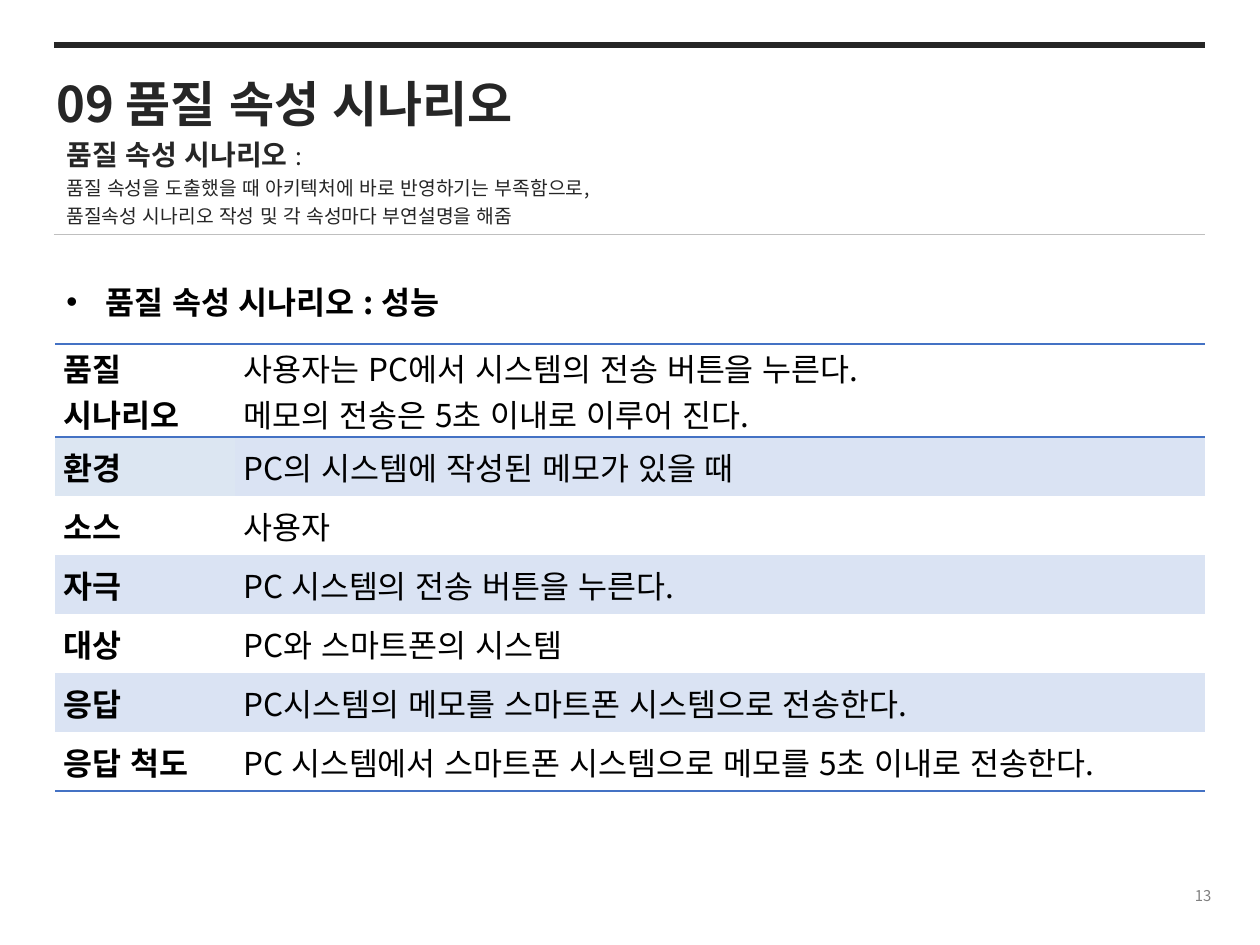
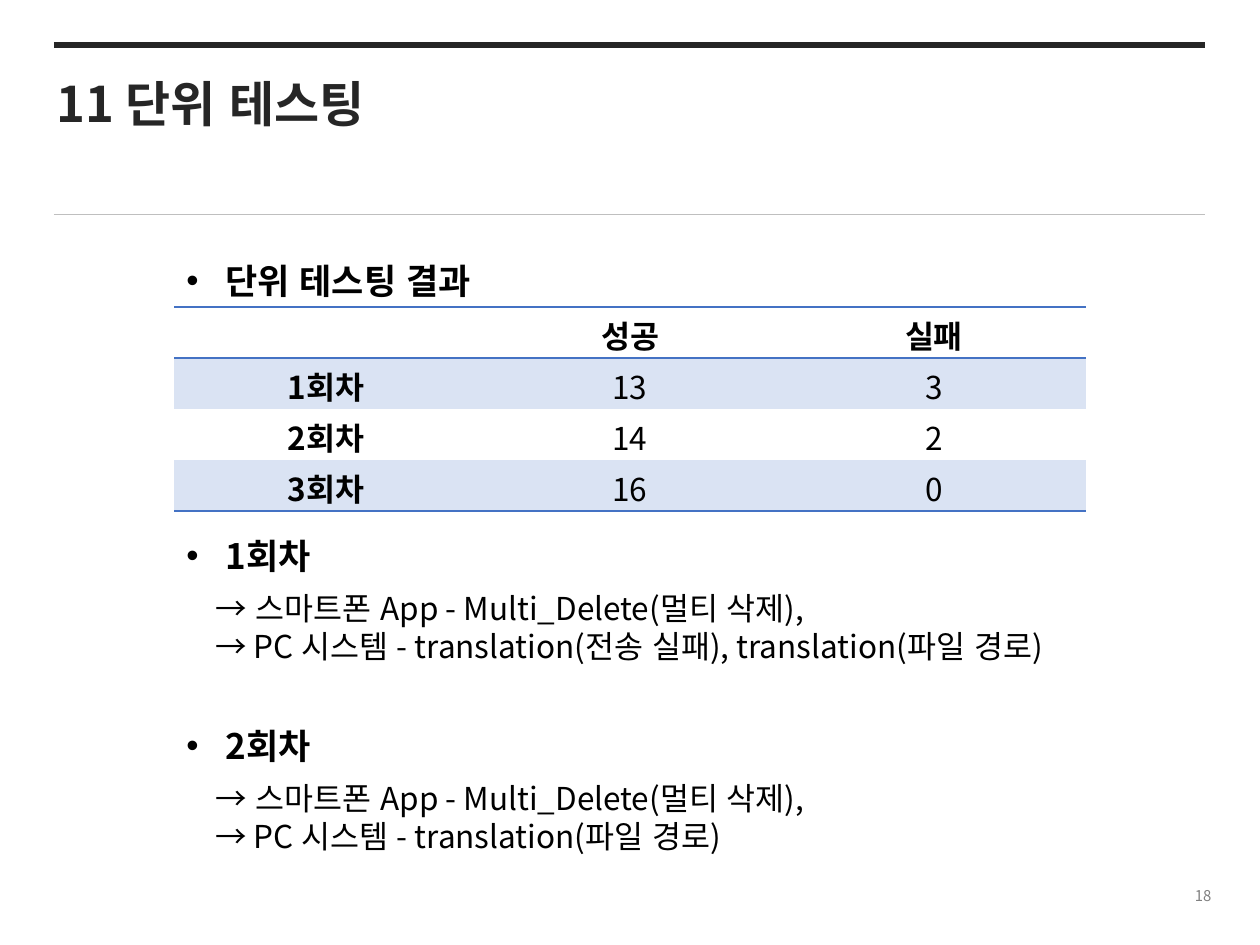
from lxml.etree import SubElement
from pptx import Presentation
from pptx.dml.color import RGBColor
from pptx.enum.lang import MSO_LANGUAGE_ID as LANGUAGE
from pptx.enum.shapes import MSO_CONNECTOR
from pptx.enum.text import MSO_ANCHOR, MSO_AUTO_SIZE as AUTO, PP_ALIGN
from pptx.oxml import parse_xml
from pptx.oxml.ns import nsdecls, qn
from pptx.util import Emu, Pt

FONT = "Noto Sans CJK KR"
BLACK = RGBColor(0x00, 0x00, 0x00)
INK = RGBColor(0x26, 0x26, 0x26)
RULE_GREY = RGBColor(0xBF, 0xBF, 0xBF)
NUMBER_GREY = RGBColor(0x80, 0x80, 0x80)
BLUE = RGBColor(0x44, 0x72, 0xC4)
BAND = RGBColor(0xDA, 0xE3, 0xF3)
PALE_BAND = RGBColor(0xDC, 0xE6, 0xF2)
NO_STYLE = "{2D5ABB26-0587-4C30-8999-92F81FD0307C}"
SCALE = 914400 / 126
LEFT, RIGHT = 54, 1205

SCENARIO = {
    "title": "09 품질 속성 시나리오",
    "number": "13",
    "rule": 234,
    "intro": [
        [("품질 속성 시나리오 ", 16, True), (":", 14, False)],
        [("품질 속성을 도출했을 때 아키텍처에 바로 반영하기는 부족함으로,", 11, False)],
        [("품질속성 시나리오 작성 및 각 속성마다 부연설명을 해줌", 11, False)],
    ],
    "heading": "품질 속성 시나리오 : 성능",
    "rows": [
        ("품질\n시나리오", "사용자는 PC에서 시스템의 전송 버튼을 누른다.\n메모의 전송은 5초 이내로 이루어 진다."),
        ("환경", "PC의 시스템에 작성된 메모가 있을 때"),
        ("소스", "사용자"),
        ("자극", "PC 시스템의 전송 버튼을 누른다."),
        ("대상", "PC와 스마트폰의 시스템"),
        ("응답", "PC시스템의 메모를 스마트폰 시스템으로 전송한다."),
        ("응답 척도", "PC 시스템에서 스마트폰 시스템으로 메모를 5초 이내로 전송한다."),
    ],
}
TESTING = {
    "title": "11 단위 테스팅",
    "number": "18",
    "rule": 214,
    "heading": "단위 테스팅 결과",
    "rows": [
        ("", "성공", "실패"),
        ("1회차", "13", "3"),
        ("2회차", "14", "2"),
        ("3회차", "16", "0"),
    ],
    "rounds": [
        (528, "1회차", ["→ 스마트폰 App - Multi_Delete(멀티 삭제),",
                      "→ PC 시스템 - translation(전송 실패), translation(파일 경로)"]),
        (718, "2회차", ["→ 스마트폰 App - Multi_Delete(멀티 삭제),",
                      "→ PC 시스템 - translation(파일 경로)"]),
    ],
}


def px(length):
    return Emu(round(length * SCALE))


def assign(target, values):
    for name, value in values.items():
        setattr(target, name, value)


def add_run(paragraph, text, size, bold, color):
    run = paragraph.add_run()
    run.text = text
    assign(run.font, {"name": FONT, "size": Pt(size), "bold": bold,
                      "language_id": LANGUAGE.KOREAN})
    run.font.color.rgb = color
    SubElement(run.font._element, qn("a:ea"), typeface=FONT)


def write(frame, paragraphs, color=BLACK, **layout):
    for index, runs in enumerate(paragraphs):
        paragraph = frame.add_paragraph() if index else frame.paragraphs[0]
        assign(paragraph, layout)
        for text, size, bold in runs:
            add_run(paragraph, text, size, bold, color)


def add_text(slide, box, paragraphs, color=BLACK, anchor=MSO_ANCHOR.TOP, **layout):
    frame = slide.shapes.add_textbox(*map(px, box)).text_frame
    assign(frame, {"word_wrap": True, "auto_size": AUTO.NONE, "vertical_anchor": anchor})
    write(frame, paragraphs, color, **layout)
    return frame


def add_bullet(slide, box, text, size):
    frame = add_text(slide, box, [[(text, size, True)]])
    properties = frame.paragraphs[0]._p.get_or_add_pPr()
    properties.set("marL", str(px(39)))
    properties.set("indent", str(-px(39)))
    SubElement(properties, qn("a:buFont"), typeface="Arial")
    SubElement(properties, qn("a:buChar"), char="•")


def add_rule(slide, top, color, width):
    rule = slide.shapes.add_connector(
        MSO_CONNECTOR.STRAIGHT, px(LEFT), px(top), px(RIGHT), px(top))
    rule.line.color.rgb = color
    rule.line.width = Pt(width)
    SubElement(rule._element.spPr, qn("a:effectLst"))


def add_border(cell, side):
    cell._tc.get_or_add_tcPr().insert(0, parse_xml(
        f'<a:{side} {nsdecls("a")} w="{Pt(1)}"><a:solidFill>'
        f'<a:srgbClr val="{BLUE}"/></a:solidFill></a:{side}>'))


def add_banded_table(slide, left, top, widths, heights, rows, cell_format, **layout):
    table = slide.shapes.add_table(
        len(rows), len(widths), px(left), px(top), px(sum(widths)), px(sum(heights))).table
    assign(table, {"first_row": False, "horz_banding": False})
    table._tbl.tblPr.find(qn("a:tableStyleId")).text = NO_STYLE
    for column, width in zip(table.columns, widths):
        column.width = px(width)
    for r, (row, height) in enumerate(zip(rows, heights)):
        table.rows[r].height = px(height)
        for c, text in enumerate(row):
            cell = table.cell(r, c)
            assign(cell, cell_format)
            bold = r == 0 and len(widths) > 2 or c == 0
            lines = [[(line, 18, bold)] for line in text.split("\n") if line]
            write(cell.text_frame, lines, **layout)
            if r % 2:
                cell.fill.solid()
                cell.fill.fore_color.rgb = BAND
            else:
                cell.fill.background()
            if r in (0, len(rows) - 1):
                add_border(cell, "lnB")
            if r == 0:
                add_border(cell, "lnT")
    return table


def add_page(deck, content):
    slide = deck.slides.add_slide(deck.slide_layouts[5])
    title = slide.shapes.title
    box = dict(zip(("left", "top", "width", "height"), map(px, (44, 67, 953, 72))))
    assign(title, box)
    assign(title.text_frame, {"word_wrap": True, "auto_size": AUTO.NONE,
                              "vertical_anchor": MSO_ANCHOR.TOP})
    write(title.text_frame, [[(content["title"], 28, True)]], INK, alignment=PP_ALIGN.LEFT)
    add_rule(slide, 45, INK, 3)
    add_rule(slide, content["rule"], RULE_GREY, 0.5)
    add_text(slide, (958, 879, 266, 34), [[(content["number"], 8.5, False)]],
             NUMBER_GREY, MSO_ANCHOR.MIDDLE, alignment=PP_ALIGN.RIGHT)
    return slide


def build_scenario(deck):
    slide = add_page(deck, SCENARIO)
    add_text(slide, (LEFT, 137, 973, 97), SCENARIO["intro"], INK, line_spacing=Pt(16))
    add_bullet(slide, (LEFT, 277, 833, 50), SCENARIO["heading"], 18)
    cell_format = {"vertical_anchor": MSO_ANCHOR.MIDDLE, "margin_left": px(9),
                   "margin_right": px(9), "margin_top": 0, "margin_bottom": 0}
    table = add_banded_table(slide, LEFT + 1, 344, (180, 970), [93] + [59] * 6,
                             SCENARIO["rows"], cell_format, line_spacing=1.01)
    table.cell(1, 0).fill.fore_color.rgb = PALE_BAND


def build_testing(deck):
    slide = add_page(deck, TESTING)
    left, width = 174, 912
    add_bullet(slide, (left, 253, width, 55), TESTING["heading"], 20)
    cell_format = {"vertical_anchor": MSO_ANCHOR.TOP, "margin_top": px(5), "margin_bottom": 0}
    add_banded_table(slide, left, 307, [width // 3] * 3, [51] * 4, TESTING["rows"],
                     cell_format, alignment=PP_ALIGN.CENTER)
    for top, heading, failures in TESTING["rounds"]:
        add_bullet(slide, (left, top, width, 55), heading, 20)
        add_text(slide, (left + 29, top + 55, width, 89),
                 [[(failure, 18, False)] for failure in failures])


def main():
    deck = Presentation()
    deck.slide_width, deck.slide_height = px(1260), px(945)
    build_scenario(deck)
    build_testing(deck)
    deck.save("out.pptx")


if __name__ == "__main__":
    main()
